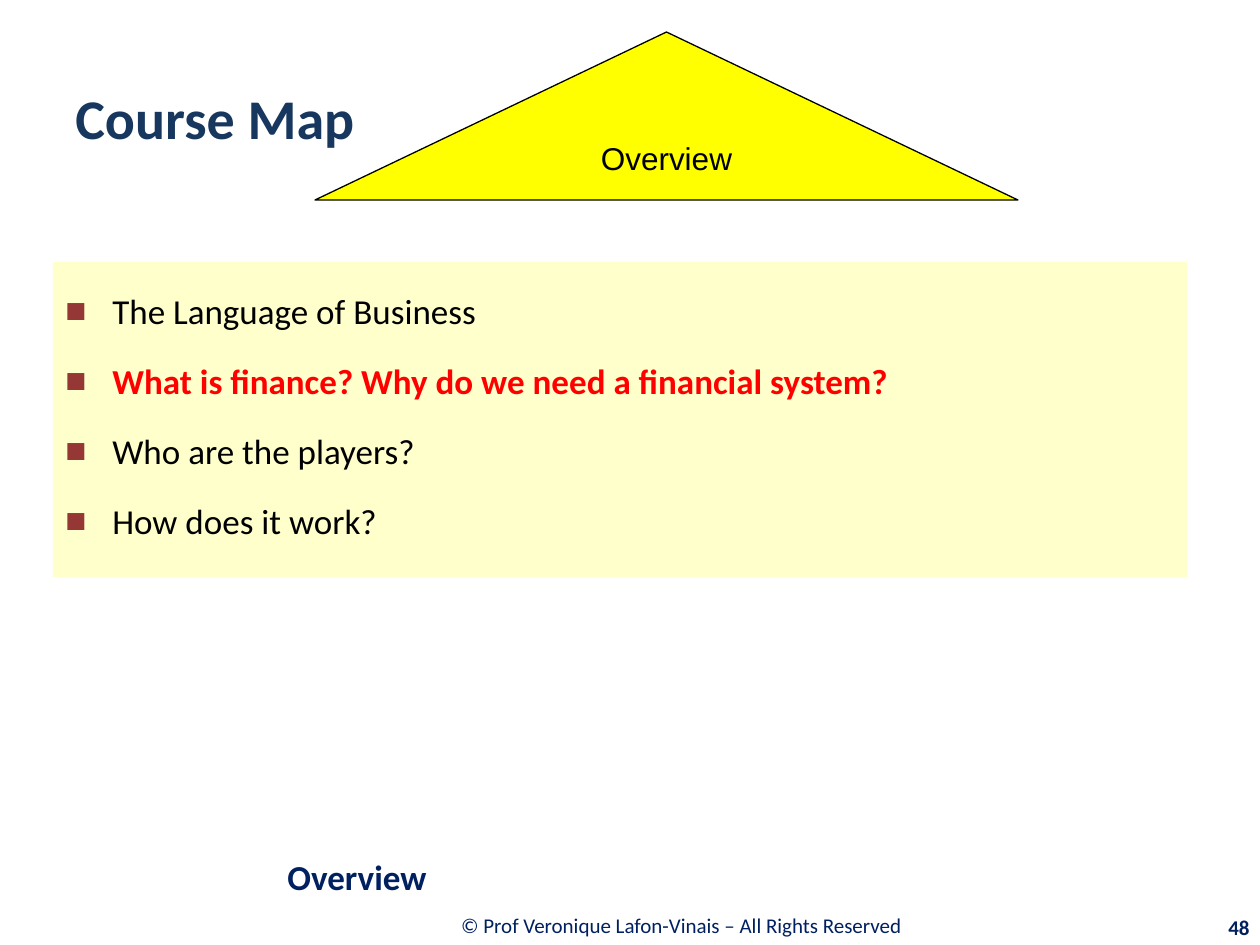
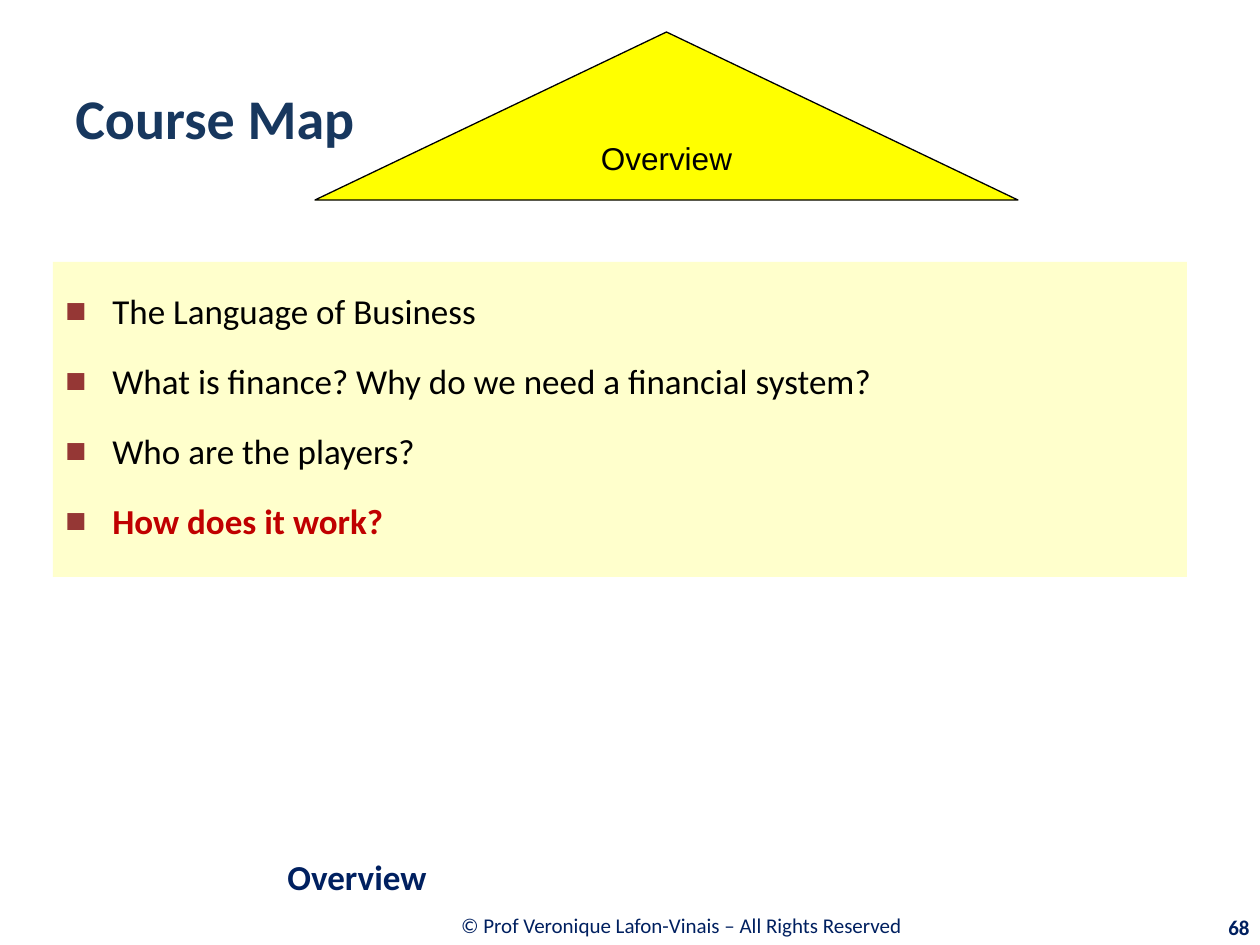
"""Build two course map slides, each highlighting one topic."""
from dataclasses import dataclass

from lxml.etree import SubElement
from pptx import Presentation
from pptx.dml.color import RGBColor
from pptx.enum.shapes import MSO_SHAPE
from pptx.enum.text import MSO_ANCHOR, PP_ALIGN
from pptx.oxml.ns import qn
from pptx.util import Emu, Pt

EMU_PER_PX = 914400 / 126
SLIDE_SIZE = (1260, 945)
TOPICS = (
    "The Language of Business",
    "What is finance? Why do we need a financial system?",
    "Who are the players?",
    "How does it work?",
)
COURSE_MAPS = (
    {"number": "48", "current": 1, "highlight": "FF0000"},
    {"number": "68", "current": 3, "highlight": "C00000"},
)


@dataclass(frozen=True)
class Theme:
    body_font: str = "Calibri"
    label_font: str = "Arial"
    title_color: str = "17375E"
    footer_color: str = "002060"
    text_color: str = "000000"
    roof_color: str = "FFFF00"
    panel_color: str = "FFFFCC"
    bullet_color: str = "953735"
    title_size: int = 32
    topic_size: int = 20
    label_size: int = 18
    footer_size: int = 12


def px(length):
    return Emu(round(length * EMU_PER_PX))


class CourseMapDeck:
    def __init__(self, theme):
        self.theme = theme
        self.presentation = Presentation()
        self.presentation.slide_width, self.presentation.slide_height = map(px, SLIDE_SIZE)
        self.slide = None

    def add_slide(self):
        self.slide = self.presentation.slides.add_slide(self.presentation.slide_layouts[6])

    def add_run(self, paragraph, text, color, size, bold=False, font=None):
        run = paragraph.add_run()
        run.text = text
        formats = {"name": font or self.theme.body_font, "size": Pt(size), "bold": bold}
        for name, value in formats.items():
            setattr(run.font, name, value)
        run.font.color.rgb = RGBColor.from_string(color)

    def text(self, box, text, color, size, bold=False, align=PP_ALIGN.LEFT):
        frame = self.slide.shapes.add_textbox(*map(px, box)).text_frame
        frame.word_wrap = True
        frame.vertical_anchor = MSO_ANCHOR.MIDDLE
        paragraph = frame.paragraphs[0]
        paragraph.alignment = align
        self.add_run(paragraph, text, color, size, bold)

    def shape(self, kind, box, fill, line=None):
        shape = self.slide.shapes.add_shape(kind, *map(px, box))
        shape.shadow.inherit = False
        shape.fill.solid()
        shape.fill.fore_color.rgb = RGBColor.from_string(fill)
        if line:
            shape.line.color.rgb = RGBColor.from_string(line)
            shape.line.width = Pt(0.75)
        else:
            shape.line.fill.background()
        return shape

    def roof(self, box, label):
        theme = self.theme
        shape = self.shape(MSO_SHAPE.FLOWCHART_EXTRACT, box, theme.roof_color, theme.text_color)
        frame = shape.text_frame
        frame.word_wrap = False
        frame.vertical_anchor = MSO_ANCHOR.MIDDLE
        paragraph = frame.paragraphs[0]
        paragraph.alignment = PP_ALIGN.CENTER
        self.add_run(paragraph, label, theme.text_color, theme.label_size, font=theme.label_font)

    def bullet(self, paragraph):
        paragraph.alignment = PP_ALIGN.LEFT
        paragraph.line_spacing = 1.5
        properties = paragraph._p.get_or_add_pPr()
        properties.set("marL", str(px(47)))
        properties.set("indent", str(px(-47)))
        spacing = SubElement(properties, qn("a:spcBef"))
        SubElement(spacing, qn("a:spcPct"), val="20000")
        color = SubElement(properties, qn("a:buClr"))
        SubElement(color, qn("a:srgbClr"), val=self.theme.bullet_color)
        SubElement(properties, qn("a:buFont"), typeface=self.theme.label_font)
        SubElement(properties, qn("a:buChar"), char="■")

    def topics(self, box, current, highlight):
        theme = self.theme
        frame = self.shape(MSO_SHAPE.RECTANGLE, box, theme.panel_color).text_frame
        frame.word_wrap = True
        frame.vertical_anchor = MSO_ANCHOR.TOP
        for index, topic in enumerate(TOPICS):
            paragraph = frame.add_paragraph() if index else frame.paragraphs[0]
            self.bullet(paragraph)
            active = index == current
            color = highlight if active else theme.text_color
            self.add_run(paragraph, topic, color, theme.topic_size, active)

    def footer(self, number):
        theme = self.theme
        color, size = theme.footer_color, theme.footer_size
        self.text((276, 901, 816, 49), "© Prof Veronique Lafon-Vinais – All Rights Reserved ",
                  color, size, align=PP_ALIGN.CENTER)
        self.text((1135, 907, 127, 40), number, color, size, True, PP_ALIGN.RIGHT)
        self.text((275, 847, 985, 59), "Overview", color, theme.topic_size, True)

    def course_map(self, number, current, highlight):
        self.add_slide()
        self.text((63, 38, 1134, 158), "Course Map", self.theme.title_color,
                  self.theme.title_size, True)
        self.footer(number)
        self.roof((315, 32, 703, 168), "Overview")
        self.topics((53, 262, 1134, 315), current, highlight)


def main():
    deck = CourseMapDeck(Theme())
    for course_map in COURSE_MAPS:
        deck.course_map(**course_map)
    deck.presentation.save("out.pptx")


if __name__ == "__main__":
    main()
